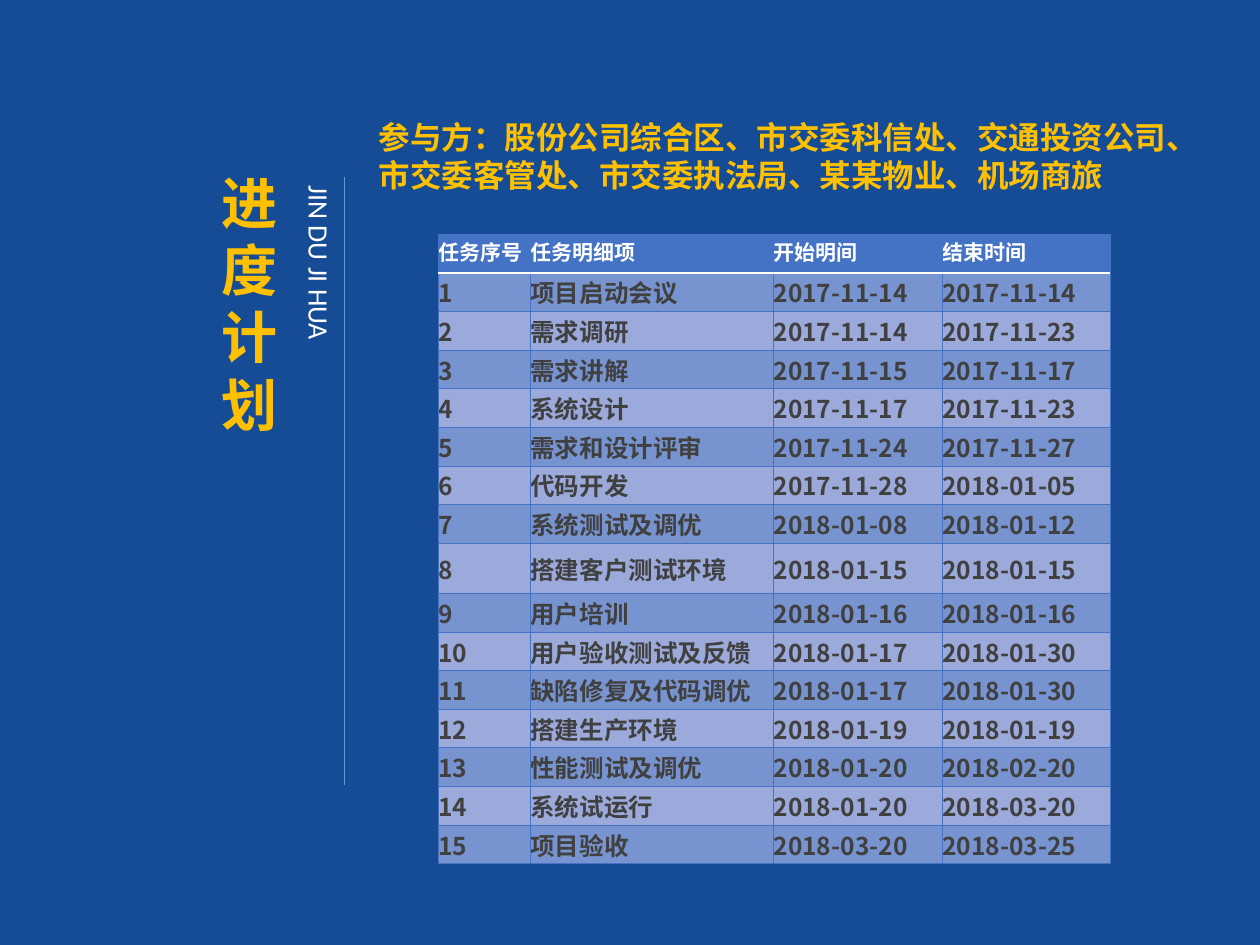
from typing import NamedTuple

from lxml import etree
from pptx import Presentation
from pptx import util as u
from pptx.dml.color import RGBColor
from pptx.enum import shapes, text
from pptx.oxml import ns

WIDTH, HEIGHT = u.Inches(10), u.Inches(7.5)
NAVY = RGBColor(0x16, 0x4C, 0x95)
GOLD = RGBColor(0xFF, 0xC0, 0x00)
WHITE = RGBColor(0xFF, 0xFF, 0xFF)
CHARCOAL = RGBColor(0x40, 0x40, 0x40)
SKY = RGBColor(0x5B, 0x9B, 0xD5)
BLUE = RGBColor(0x44, 0x72, 0xC4)
BANDS = (RGBColor(0x78, 0x94, 0xD0), RGBColor(0x9B, 0xAA, 0xDA))
CJK, LATIN = "Noto Sans CJK SC", "Calibri"


class Box(NamedTuple):
    """A rectangle in percent of the slide's width and height."""

    left: float
    top: float
    width: float
    height: float

    def lengths(self) -> tuple[int, ...]:
        sides = (WIDTH, HEIGHT, WIDTH, HEIGHT)
        return tuple(round(share * side / 100) for share, side in zip(self, sides))


class Style(NamedTuple):
    font: str
    size: float
    color: RGBColor
    bold: bool = False
    spacing: float | None = None


class Task(NamedTuple):
    name: str
    start: str
    end: str


TITLE = Style(CJK, 32, GOLD, True, 38.5)
PINYIN = Style(LATIN, 16, WHITE)
PARTIES = Style(CJK, 18, GOLD, True, 21.7)
HEADER = Style(LATIN, 12, WHITE, True)
BODY = Style(CJK, 14, CHARCOAL, True)

HEADINGS = ("任务序号", "任务明细项", "开始明间", "结束时间")
TASKS = (
    Task("项目启动会议", "2017-11-14", "2017-11-14"),
    Task("需求调研", "2017-11-14", "2017-11-23"),
    Task("需求讲解", "2017-11-15", "2017-11-17"),
    Task("系统设计", "2017-11-17", "2017-11-23"),
    Task("需求和设计评审", "2017-11-24", "2017-11-27"),
    Task("代码开发", "2017-11-28", "2018-01-05"),
    Task("系统测试及调优", "2018-01-08", "2018-01-12"),
    Task("搭建客户测试环境", "2018-01-15", "2018-01-15"),
    Task("用户培训", "2018-01-16", "2018-01-16"),
    Task("用户验收测试及反馈", "2018-01-17", "2018-01-30"),
    Task("缺陷修复及代码调优", "2018-01-17", "2018-01-30"),
    Task("搭建生产环境", "2018-01-19", "2018-01-19"),
    Task("性能测试及调优", "2018-01-20", "2018-02-20"),
    Task("系统试运行", "2018-01-20", "2018-03-20"),
    Task("项目验收", "2018-03-20", "2018-03-25"),
)
COLUMN_WIDTHS = (0.73, 1.93, 1.34, 1.33)
TABLE_HEIGHT, TALL_ROW_HEIGHT, TALL_ROW = 5, 0.4, 8
ROW_HEIGHT = (TABLE_HEIGHT - TALL_ROW_HEIGHT) / len(TASKS)


def format_paragraph(paragraph, style: Style) -> None:
    font = paragraph.font
    font.name, font.size, font.bold = style.font, u.Pt(style.size), style.bold
    font.color.rgb = style.color
    if style.spacing:
        paragraph.line_spacing = u.Pt(style.spacing)
    for run in paragraph.runs:
        run.font.name = style.font
        latin = run.font._element.find(ns.qn("a:latin"))
        east_asian = etree.Element(ns.qn("a:ea"), typeface=style.font)
        latin.addnext(east_asian)


def write(frame, content: str, style: Style, alignment=text.PP_ALIGN.LEFT) -> None:
    frame.text = content
    for paragraph in frame.paragraphs:
        paragraph.alignment = alignment
        format_paragraph(paragraph, style)


def add_text(slide, box: Box, content: str, style: Style, wrap: bool):
    frame = slide.shapes.add_textbox(*box.lengths()).text_frame
    write(frame, content, style)
    frame.word_wrap = wrap
    return frame


def place_title(slide, box: Box, content: str) -> None:
    """Stack the title one character per line in a narrow box."""
    title = slide.shapes.title
    title.left, title.top, title.width, title.height = box.lengths()
    frame = title.text_frame
    write(frame, content, TITLE, text.PP_ALIGN.JUSTIFY)
    frame.word_wrap = True
    frame.auto_size = text.MSO_AUTO_SIZE.NONE
    frame.vertical_anchor = text.MSO_ANCHOR.TOP


def add_rule(slide, left: float, top: float, bottom: float) -> None:
    x, y, _, length = Box(left, top, 0, bottom - top).lengths()
    rule = slide.shapes.add_connector(
        shapes.MSO_CONNECTOR.STRAIGHT, x, y, x, y + length
    )
    rule.line.color.rgb, rule.line.width = SKY, u.Pt(0.5)
    etree.SubElement(rule._element.spPr, ns.qn("a:effectLst"))


def set_border(cell, side: str, color: RGBColor, points: float) -> None:
    properties = cell._tc.get_or_add_tcPr()
    line = etree.Element(ns.qn(f"a:ln{side}"), w=str(u.Pt(points)))
    fill = etree.SubElement(line, ns.qn("a:solidFill"))
    etree.SubElement(fill, ns.qn("a:srgbClr"), val=str(color))
    borders = [child for child in properties if "}ln" in child.tag]
    properties.insert(len(borders), line)


def fill_cell(cell, content: str, row: int) -> None:
    write(cell.text_frame, content, BODY if row else HEADER)
    cell.margin_left = cell.margin_right = cell.margin_top = cell.margin_bottom = 0
    cell.vertical_anchor = text.MSO_ANCHOR.MIDDLE
    cell.fill.solid()
    cell.fill.fore_color.rgb = BANDS[(row - 1) % 2] if row else BLUE
    for side in "LRTB":
        under_header = (row, side) in ((0, "B"), (1, "T"))
        set_border(cell, side, *((WHITE, 1) if under_header else (BLUE, 0.5)))


def add_schedule(slide, box: Box) -> None:
    rows = [HEADINGS] + [(str(n), *task) for n, task in enumerate(TASKS, 1)]
    table = slide.shapes.add_table(len(rows), len(HEADINGS), *box.lengths()).table
    for column, width in zip(table.columns, COLUMN_WIDTHS):
        column.width = u.Inches(width)
    for r, contents in enumerate(rows):
        height = TALL_ROW_HEIGHT if r == TALL_ROW else ROW_HEIGHT
        table.rows[r].height = u.Inches(height)
        for c, content in enumerate(contents):
            fill_cell(table.cell(r, c), content, r)


def main() -> None:
    presentation = Presentation()
    presentation.slide_width, presentation.slide_height = WIDTH, HEIGHT
    slide = presentation.slides.add_slide(presentation.slide_layouts[5])
    slide.background.fill.solid()
    slide.background.fill.fore_color.rgb = NAVY

    add_rule(slide, 27.3, 18.7, 83.1)
    place_title(slide, Box(16.6, 17.1, 5.2, 30), "进度计划")
    pinyin = add_text(slide, Box(22.5, 18.3, 4.7, 27.7), "JIN DU JI HUA", PINYIN, True)
    pinyin._txBody.bodyPr.set("vert", "eaVert")
    add_schedule(slide, Box(34.8, 24.8, 53.3, 66.7))
    add_text(
        slide,
        Box(29.1, 11.8, 67, 9.5),
        "参与方：股份公司综合区、市交委科信处、交通投资公司、\n"
        "市交委客管处、市交委执法局、某某物业、机场商旅",
        PARTIES,
        False,
    )
    presentation.save("out.pptx")


if __name__ == "__main__":
    main()
